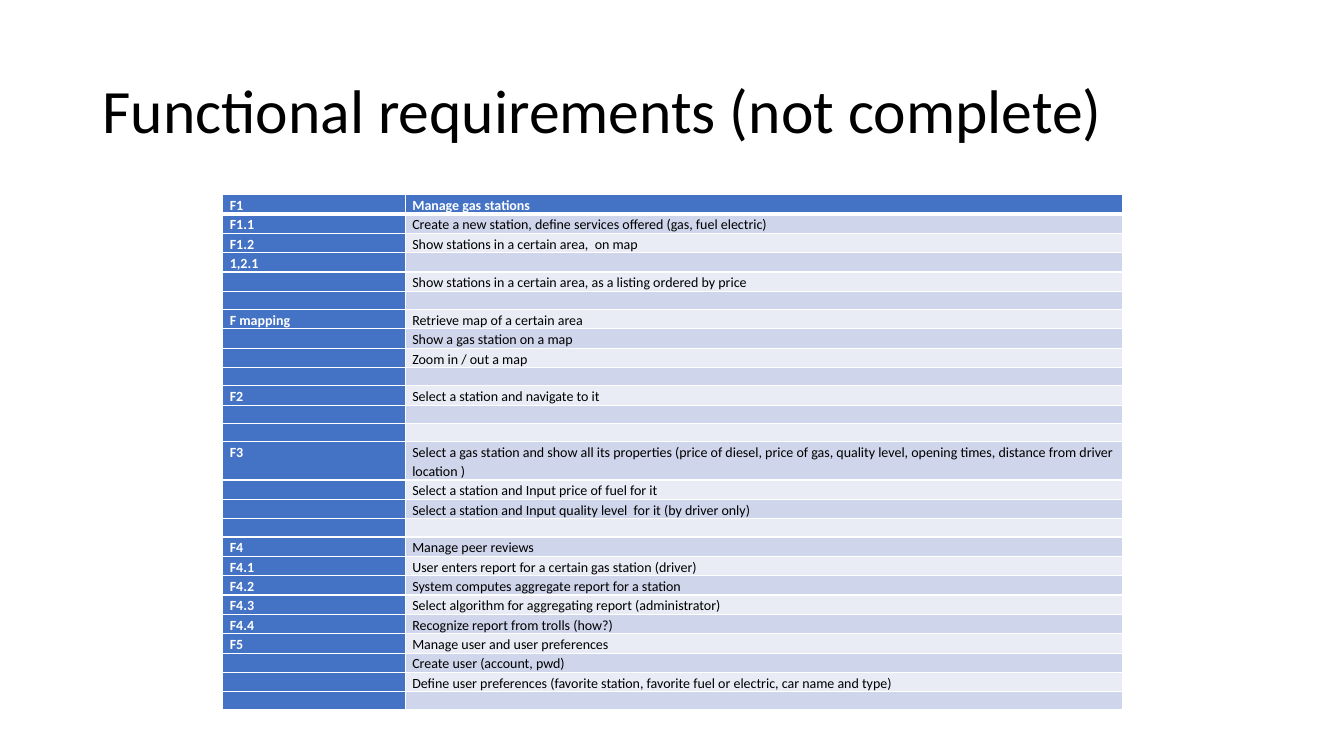
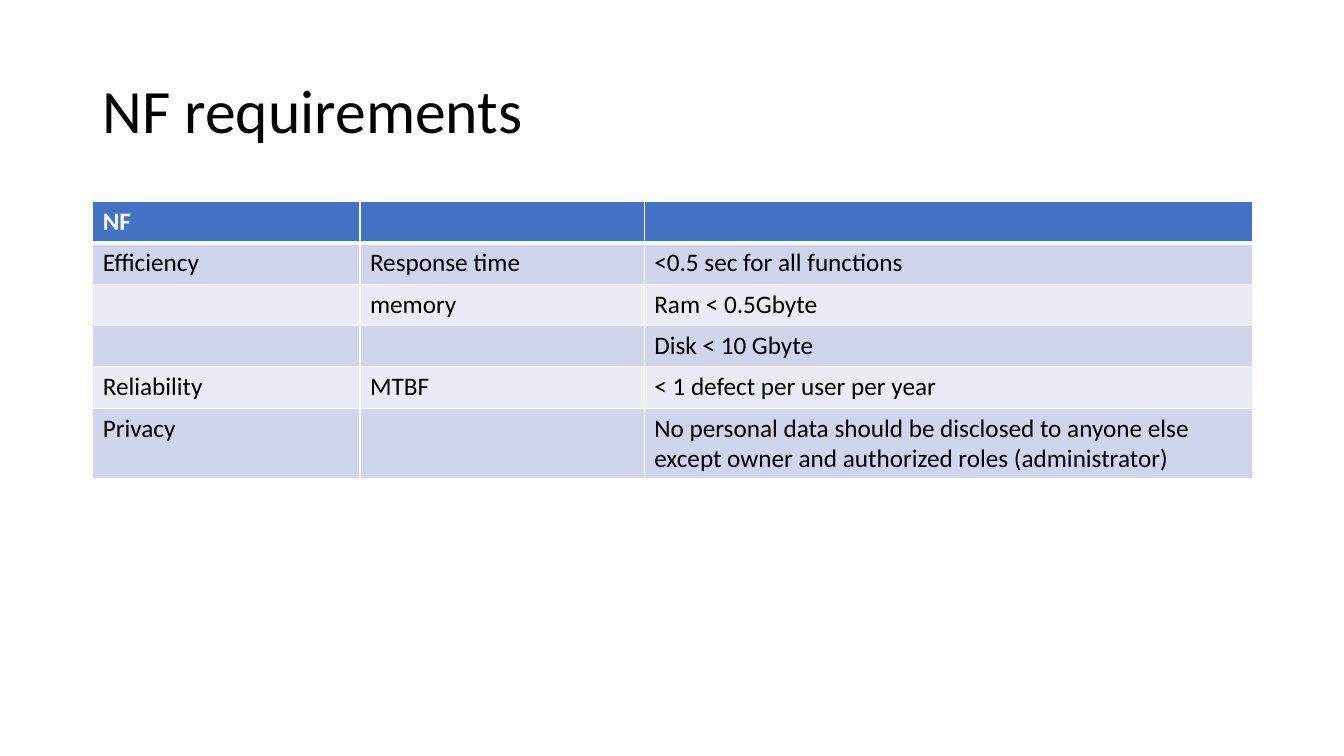
from lxml.etree import SubElement
from pptx import Presentation
from pptx.dml.color import RGBColor
from pptx.enum.text import MSO_ANCHOR
from pptx.oxml.ns import qn
from pptx.util import Emu, Pt

FONT = "Calibri"
WHITE = RGBColor(0xFF, 0xFF, 0xFF)
BLACK = RGBColor(0x00, 0x00, 0x00)
BLUE = RGBColor(0x44, 0x72, 0xC4)
BAND_DARK = RGBColor(0xCF, 0xD5, 0xEA)
BAND_LIGHT = RGBColor(0xE9, 0xEB, 0xF5)

FUNCTIONAL = [
    ("F1", "Manage gas stations"),
    ("F1.1", "Create a new station, define services offered (gas, fuel electric)"),
    ("F1.2", "Show stations in a certain area,  on map"),
    ("1,2.1", ""),
    ("", "Show stations in a certain area, as a listing ordered by price"),
    ("", ""),
    ("F mapping", "Retrieve map of a certain area"),
    ("", "Show a gas station on a map"),
    ("", "Zoom in / out a map"),
    ("", ""),
    ("F2", "Select a station and navigate to it"),
    ("", ""),
    ("", ""),
    ("F3", "Select a gas station and show all its properties (price of diesel, price of gas, "
           "quality level, opening times, distance from driver location )"),
    ("", "Select a station and Input price of fuel for it"),
    ("", "Select a station and Input quality level  for it (by driver only)"),
    ("", ""),
    ("F4", "Manage peer reviews"),
    ("F4.1", "User enters report for a certain gas station (driver)"),
    ("F4.2", "System computes aggregate report for a station"),
    ("F4.3", "Select algorithm for aggregating report (administrator)"),
    ("F4.4", "Recognize report from trolls (how?)"),
    ("F5", "Manage user and user preferences"),
    ("", "Create user (account, pwd)"),
    ("", "Define user preferences (favorite station, favorite fuel or electric, car name and type)"),
    ("", ""),
]
NON_FUNCTIONAL = [
    ("NF", "", ""),
    ("Efficiency", "Response time", "<0.5 sec for all functions"),
    ("", "memory", "Ram < 0.5Gbyte"),
    ("", "", "Disk < 10 Gbyte"),
    ("Reliability", "MTBF", "< 1 defect per user per year"),
    ("Privacy", "", "No personal data should be disclosed to anyone else "
                    "except owner and authorized roles (administrator)"),
]


def px(n):
    return Emu(n * 9144)


def style_paragraph(p, size, color, bold=False, spacing=1.0):
    p.line_spacing = spacing
    for r in p.runs:
        r.font.name = FONT
        r.font.size = Pt(size)
        r.font.bold = bold
        r.font.color.rgb = color
    if not p.runs:
        SubElement(p._p, qn("a:endParaRPr"), sz=str(size * 100))


def add_title_slide(prs, title):
    s = prs.slides.add_slide(prs.slide_layouts[6])
    tf = s.shapes.add_textbox(px(92), px(40), px(1150), px(145)).text_frame
    tf.word_wrap = True
    tf.vertical_anchor = MSO_ANCHOR.MIDDLE
    tf.text = title
    style_paragraph(tf.paragraphs[0], 44, BLACK, spacing=0.9)
    return s


def set_borders(cell, row):
    widths = {"L": 1, "R": 1, "T": 3 if row == 1 else 1, "B": 3 if row == 0 else 1}
    tcPr = cell._tc.get_or_add_tcPr()
    for side, width in widths.items():
        ln = SubElement(tcPr, qn(f"a:ln{side}"), w=str(Pt(width)))
        fill = SubElement(ln, qn("a:solidFill"))
        SubElement(fill, qn("a:srgbClr"), val=str(WHITE))


def add_grid(s, rows, left, top, widths, row_height, size, margins,
             spacing=1.0, first_col=False):
    table = s.shapes.add_table(len(rows), len(widths), px(left), px(top),
                               px(sum(widths)), px(row_height * len(rows))).table
    table.first_col = first_col
    for column, width in zip(table.columns, widths):
        column.width = px(width)
    for i, texts in enumerate(rows):
        table.rows[i].height = px(row_height)
        for j, text in enumerate(texts):
            cell = table.cell(i, j)
            heading = i == 0 or (first_col and j == 0)
            set_borders(cell, i)
            cell.fill.solid()
            cell.fill.fore_color.rgb = BLUE if heading else BAND_DARK if i % 2 else BAND_LIGHT
            cell.margin_left = cell.margin_right = px(margins[0])
            cell.margin_top = cell.margin_bottom = px(margins[1])
            if text:
                cell.text_frame.text = text
            style_paragraph(cell.text_frame.paragraphs[0], size,
                            WHITE if heading else BLACK, heading, spacing)


def main():
    prs = Presentation()
    prs.slide_width, prs.slide_height = px(1333), px(750)
    s = add_title_slide(prs, "Functional requirements (not complete)")
    add_grid(s, FUNCTIONAL, 221, 193, (181, 711), 18, 10, (7, 0), 1.15, True)
    s = add_title_slide(prs, "NF requirements")
    add_grid(s, NON_FUNCTIONAL, 92, 200, (265, 282, 603), 41, 18, (10, 5))
    prs.save("out.pptx")


if __name__ == "__main__":
    main()
